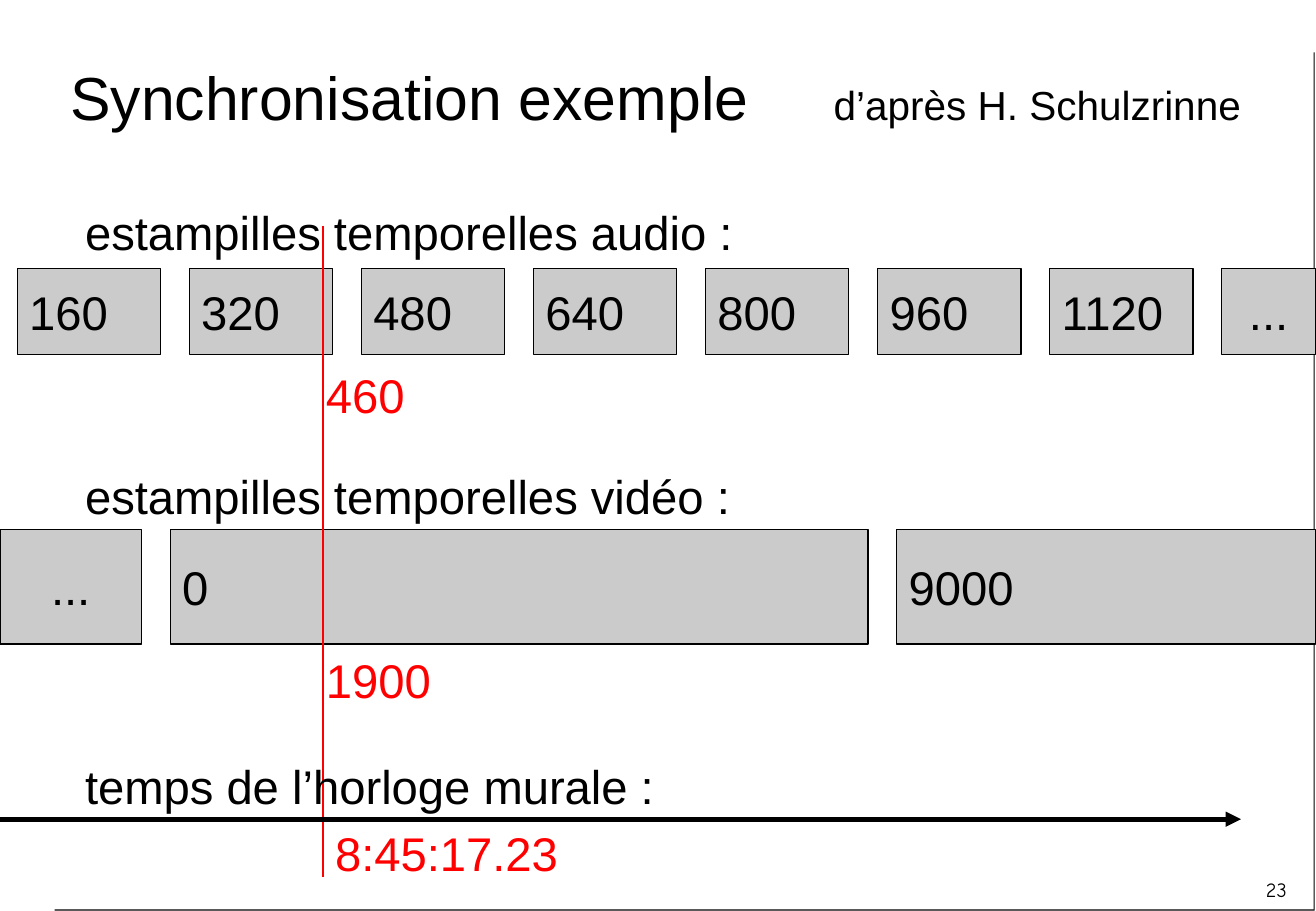
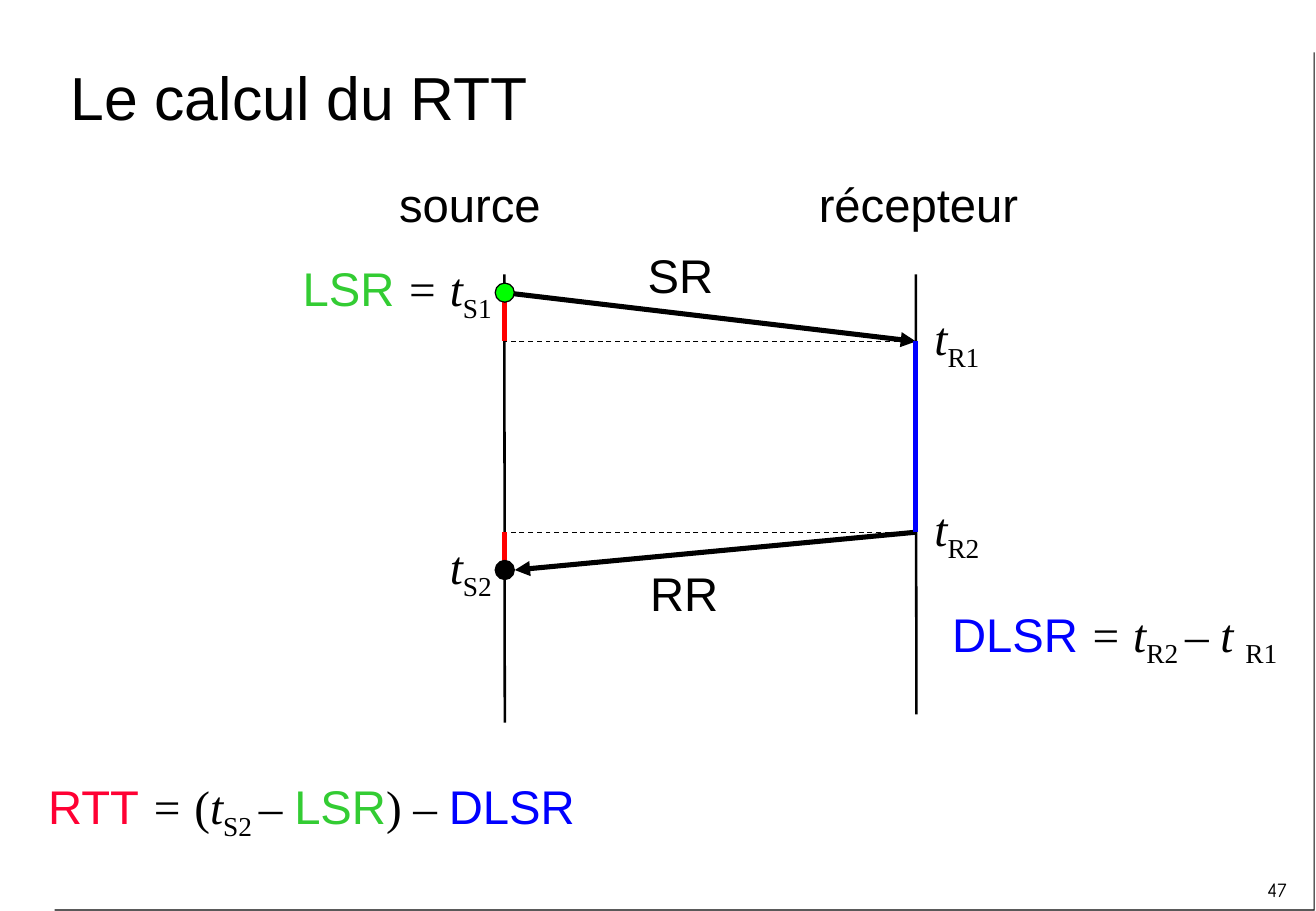
import pptx
import pptx.dml.color
import pptx.enum.dml
import pptx.enum.shapes
import pptx.enum.text
import pptx.oxml
import pptx.oxml.ns
import pptx.util

Cm = pptx.util.Cm
Pt = pptx.util.Pt
ALIGN = pptx.enum.text.PP_ALIGN
ANCHOR = pptx.enum.text.MSO_ANCHOR
SHAPE = pptx.enum.shapes.MSO_SHAPE
NAMESPACE = pptx.oxml.ns.nsdecls("a")

WIDTH, HEIGHT = 27.53, 19.05
SANS, SERIF, NUMBER_FONT = "Arial", "Times New Roman", "Comic Neue"
BLACK, WHITE, GREY, RED, BLUE = "000000", "FFFFFF", "CBCBCB", "FF0000", "0000FF"
GREEN, DOT_GREEN, RTT_RED = "33CC33", "00FF00", "FF0033"
BODY_SIZE = 28

# Kinds of run in the formulas: font, colour, italic, baseline
VARIABLE = (SERIF, BLACK, True, 0)
UPRIGHT = (SERIF, BLACK, False, 0)
INDEX = (SERIF, BLACK, False, -25000)
LSR = ("LSR", (SANS, GREEN, False, 0))
DLSR = ("DLSR", (SANS, BLUE, False, 0))
RTT = ("RTT", (SANS, RTT_RED, False, 0))


def rgb(hex_colour):
    return pptx.dml.color.RGBColor.from_string(hex_colour)


def format_run(run, size, name=SANS, colour=BLACK, italic=False, baseline=0):
    run.font.size = Pt(size)
    run.font.name = name
    run.font.color.rgb = rgb(colour)
    run.font.italic = italic
    if baseline:
        run._r.get_or_add_rPr().set("baseline", str(baseline))


def set_frame(frame, anchor):
    frame.word_wrap = True
    frame.auto_size = pptx.enum.text.MSO_AUTO_SIZE.NONE
    frame.vertical_anchor = anchor
    frame.margin_left = frame.margin_right = Cm(0.25)
    frame.margin_top = frame.margin_bottom = Cm(0.13)


def add_label(slide, box, text, colour=BLACK, align=ALIGN.LEFT,
              anchor=ANCHOR.TOP, size=BODY_SIZE, font=SANS):
    frame = slide.shapes.add_textbox(*map(Cm, box)).text_frame
    set_frame(frame, anchor)
    frame.text = text
    frame.paragraphs[0].alignment = align
    format_run(frame.paragraphs[0].runs[0], size, font, colour)


def add_formula(slide, box, parts, align=ALIGN.RIGHT):
    frame = slide.shapes.add_textbox(*map(Cm, box)).text_frame
    set_frame(frame, ANCHOR.TOP)
    frame.paragraphs[0].alignment = align
    for text, kind in parts:
        run = frame.paragraphs[0].add_run()
        run.text = text
        format_run(run, BODY_SIZE, *kind)


def add_line(slide, start, end, colour=BLACK, weight=1.5, arrow=False, dashed=False):
    line = slide.shapes.add_connector(
        pptx.enum.shapes.MSO_CONNECTOR.STRAIGHT, *map(Cm, (*start, *end)))
    line.line.color.rgb = rgb(colour)
    line.line.width = Pt(weight)
    if dashed:
        line.line.dash_style = pptx.enum.dml.MSO_LINE.DASH
    properties = line._element.spPr
    if arrow:
        head = pptx.oxml.parse_xml(f'<a:tailEnd {NAMESPACE} type="triangle"/>')
        properties.find(pptx.oxml.ns.qn("a:ln")).append(head)
    properties.append(pptx.oxml.parse_xml(f'<a:effectLst {NAMESPACE}/>'))


def add_filled(slide, preset, box, fill):
    shape = slide.shapes.add_shape(preset, *map(Cm, box))
    shape.shadow.inherit = False
    shape.fill.solid()
    shape.fill.fore_color.rgb = rgb(fill)
    shape.line.color.rgb = rgb(BLACK)
    shape.line.width = Pt(0.75)
    return shape


# White sheet with a thin hard shadow, placed on the master for every slide
def move_sheet_to_master(deck, slide):
    sheet = add_filled(slide, SHAPE.RECTANGLE, (1.12, 1.07, 26.36, 17.95), WHITE)
    sheet.line.fill.background()
    effects = sheet._element.spPr.find(pptx.oxml.ns.qn("a:effectLst"))
    effects.append(pptx.oxml.parse_xml(
        f'<a:outerShdw {NAMESPACE} blurRad="0" dist="{Pt(1)}" dir="2700000" '
        f'algn="ctr" rotWithShape="0"><a:srgbClr val="{BLACK}"/></a:outerShdw>'))
    deck.slide_master.shapes._spTree.insert(2, sheet._element)


# Title and number common to all slides
def add_slide(deck, title, number, credit=None):
    slide = deck.slides.add_slide(deck.slide_layouts[5])
    heading = slide.shapes.title
    heading.left, heading.top = Cm(1.22), Cm(0.43)
    heading.width, heading.height = Cm(26.29), Cm(3.18)
    set_frame(heading.text_frame, ANCHOR.MIDDLE)
    paragraph = heading.text_frame.paragraphs[0]
    paragraph.text = title
    paragraph.alignment = ALIGN.LEFT
    format_run(paragraph.runs[0], 36)
    if credit:
        paragraph._p.get_or_add_pPr().append(pptx.oxml.parse_xml(
            f'<a:tabLst {NAMESPACE}><a:tab pos="{Cm(15.97)}" algn="l"/></a:tabLst>'))
        credit_run = paragraph.add_run()
        credit_run.text = "\t" + credit
        format_run(credit_run, 24)

    add_label(slide, (25.85, 18.18, 1.32, 0.86), number, align=ALIGN.RIGHT,
              anchor=ANCHOR.MIDDLE, size=12, font=NUMBER_FONT)
    return slide


# One media stream: caption above, row of packets, time stamp below
def add_stream(slide, box, caption, packets, stamp, caption_rise, stamp_gap):
    left, top, height = box
    add_label(slide, (1.53, top - caption_rise, 16, 1.45), caption)
    for text, width in packets:
        packet = add_filled(slide, SHAPE.RECTANGLE, (left, top, width, height), GREY)
        set_frame(packet.text_frame, ANCHOR.MIDDLE)
        packet.text_frame.text = text
        paragraph = packet.text_frame.paragraphs[0]
        paragraph.alignment = ALIGN.CENTER if text == "..." else ALIGN.LEFT
        format_run(paragraph.runs[0], BODY_SIZE)
        left += width + 0.6
    add_label(slide, (6.57, top + height + stamp_gap, 5, 1.45), stamp, RED)


def add_wall_clock(slide, top, instant):
    add_line(slide, (0, top), (25.96, top), weight=3, arrow=True)
    add_label(slide, (1.53, top - 1.42, 16, 1.45), "temps de l’horloge murale :")
    add_label(slide, (instant, top - 0.03, 8, 1.45), "8:45:17.23", RED)


def build_synchronisation(deck):
    slide = add_slide(deck, "Synchronisation exemple", "23", "d’après H. Schulzrinne")
    move_sheet_to_master(deck, slide)
    audio = [(str(stamp), 3) for stamp in range(160, 1121, 160)]
    add_stream(slide, (0.36, 5.61, 1.8), "estampilles temporelles audio :",
               audio + [("...", 1.96)], "460", 1.48, 0.13)
    add_stream(slide, (0, 11.08, 2.39), "estampilles temporelles vidéo :",
               [("...", 2.96), ("0", 14.6), ("9000", 8.76)], "1900", 1.43, 0.02)
    instant = 6.76
    add_line(slide, (instant, 4.72), (instant, 18.34), RED)
    add_wall_clock(slide, 17.13, instant)


# Exchange between source and receiver, time running downwards
def add_exchange(slide, box):
    source, top, width = box
    receiver = source + width
    s1, r1, r2, s2 = (top + delay for delay in (0.38, 1.4, 5.39, 6.18))

    add_line(slide, (source - 0.01, top), (source, top + 9.37))
    add_line(slide, (receiver, top), (receiver + 0.01, top + 9.2))
    for text, left, label_top in (
            ("source", source - 2.46, top - 2.21),
            ("récepteur", receiver - 2.28, top - 2.21),
            ("SR", source + 2.74, top - 0.71),
            ("RR", source + 2.79, top + 5.94)):
        add_label(slide, (left, label_top, 6, 1.45), text)

    # Messages
    add_line(slide, (source, s1), (receiver, r1), weight=3, arrow=True)
    add_line(slide, (receiver, r2), (source + 0.21, s2), weight=3, arrow=True)

    # Instants
    for right, instant, prefix, index in (
            (source, s1, [LSR, (" = ", VARIABLE)], "S1"),
            (source, s2, [], "S2"),
            (receiver + 1.6, r1, [], "R1"),
            (receiver + 1.6, r2, [], "R2")):
        add_formula(slide, (right - 6.22, instant - 0.82, 6.2, 1.6),
                    prefix + [("t", VARIABLE), (index, INDEX)])

    # Durations
    for instant in (r1, r2):
        add_line(slide, (receiver, instant), (source, instant), weight=0.75, dashed=True)
    for x, start, end, colour in ((source, s1, r1, RED), (source, r2, s2, RED),
                                  (receiver, r1, r2, BLUE)):
        add_line(slide, (x, start), (x, end), colour, 3)
    for instant, fill in ((s1, DOT_GREEN), (s2, BLACK)):
        add_filled(slide, SHAPE.OVAL, (source - 0.2, instant - 0.2, 0.4, 0.4), fill)


def build_rtt(deck):
    slide = add_slide(deck, "Le calcul du RTT", "47")
    add_exchange(slide, (10.56, 5.74, 8.6))
    add_formula(slide, (17.57, 12.52, 9.4, 3.2), [
        DLSR, (" = t", VARIABLE), ("R2 ", INDEX), ("– t ", VARIABLE), ("R1", INDEX)])
    add_formula(slide, (0.76, 16.13, 13.6, 2.8), [
        RTT, (" = ", VARIABLE), ("(", UPRIGHT), ("t", VARIABLE), ("S2 ", INDEX),
        ("– ", VARIABLE), LSR, (")", UPRIGHT), (" – ", VARIABLE), DLSR], ALIGN.LEFT)


def main():
    deck = pptx.Presentation()
    deck.slide_width, deck.slide_height = Cm(WIDTH), Cm(HEIGHT)
    build_synchronisation(deck)
    build_rtt(deck)
    deck.save("out.pptx")


if __name__ == "__main__":
    main()
